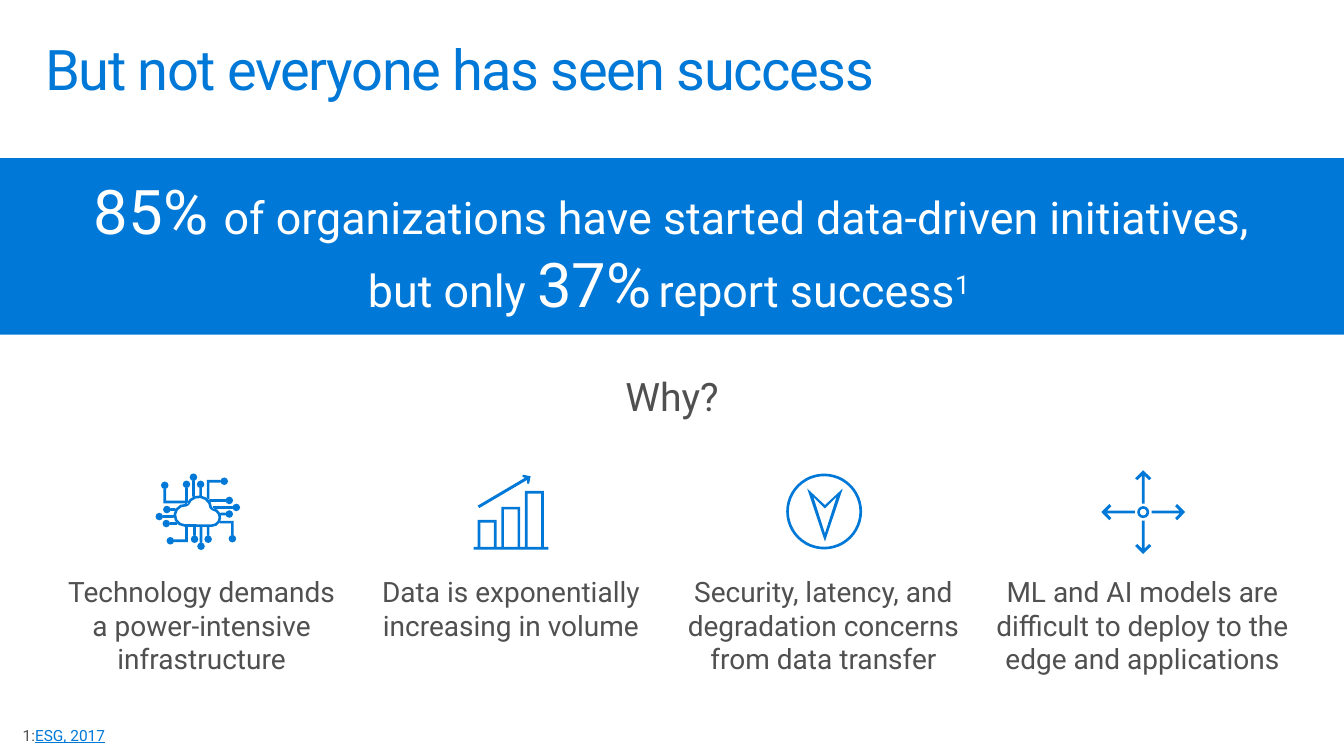
from math import cos, hypot, radians, sin

from pptx import Presentation
from pptx.dml.color import RGBColor
from pptx.enum.shapes import MSO_SHAPE
from pptx.enum.text import MSO_ANCHOR, PP_ALIGN
from pptx.util import Pt

BLUE, GRAY, WHITE = "0078D7", "505050", "FFFFFF"
STROKE = 1.9


def write(sp, runs, size, color, margins=(0, 0), align=PP_ALIGN.CENTER, anchor=MSO_ANCHOR.TOP):
    """Fill a shape with one paragraph of (text, size) runs; "\\n" is a line break."""
    tf = sp.text_frame
    tf.word_wrap = True
    tf.vertical_anchor = anchor
    tf.margin_left = tf.margin_right = Pt(margins[0])
    tf.margin_top = tf.margin_bottom = Pt(margins[1])
    p = tf.paragraphs[0]
    p.alignment = align
    p.font.name = "Roboto"
    p.font.size = Pt(size)
    p.font.color.rgb = RGBColor.from_string(color)
    for text, run_size in runs:
        if text == "\n":
            p.add_line_break()
            continue
        r = p.add_run()
        r.text = text
        if run_size != size:
            r.font.size = Pt(run_size)
    return p


def strip(line):
    """Outline of a polyline drawn STROKE wide, with mitred corners."""
    normals = []
    for (x1, y1), (x2, y2) in zip(line, line[1:]):
        length = hypot(x2 - x1, y2 - y1)
        normals.append(((y1 - y2) / length, (x2 - x1) / length))
    left, right = [], []
    for (x, y), (ax, ay), (bx, by) in zip(line, normals[:1] + normals, normals + normals[-1:]):
        k = STROKE / 2 / (1 + ax * bx + ay * by)
        left.append((x + k * (ax + bx), y + k * (ay + by)))
        right.append((x - k * (ax + bx), y - k * (ay + by)))
    return left + right[::-1]


prs = Presentation()
prs.slide_width, prs.slide_height = Pt(960), Pt(540)
s = prs.slides.add_slide(prs.slide_layouts[6])
shapes = s.shapes

# Title
title = shapes.add_textbox(Pt(21), Pt(23), Pt(918), Pt(70.6))
p = write(title, [("But not everyone has seen success", 40)], 40, BLUE, (11.5, 7.2), PP_ALIGN.LEFT)
p.line_spacing = 0.9
p.runs[0].font._element.set("spc", "-100")

# Headline band
band = shapes.add_shape(MSO_SHAPE.RECTANGLE, 0, Pt(113), Pt(960), Pt(126))
band.shadow.inherit = False
band.fill.solid()
band.fill.fore_color.rgb = RGBColor.from_string(BLUE)
band.line.fill.background()
headline = [("85% ", 44), ("of organizations have started data-driven initiatives,", 32), ("\n", 32),
            ("but only ", 32), ("37%", 44), (" ", 20), ("report success", 32), ("1 ", 32)]
p = write(band, headline, 32, WHITE, (28.8, 11.5), anchor=MSO_ANCHOR.MIDDLE)
p.runs[-1].font._element.set("baseline", "30000")

why = shapes.add_textbox(Pt(434), Pt(263), Pt(92), Pt(39.6))
write(why, [("Why?", 28)], 28, GRAY, (10.8, 7.2), anchor=MSO_ANCHOR.MIDDLE)

# Growth icon: bars on a baseline, and a trend arrow
bars = [strip([(338.4, 391.7), (391.7, 391.7)])]
for i, top in enumerate([372.4, 363, 351.6]):
    x = 342.2 + 16.9 * i
    bars.append(strip([(x, 390.75), (x, top), (x + 11.6, top), (x + 11.6, 390.75)]))
trend = [(341.2, 361.2), (375, 341.3), (373.2, 340.6), (373.4, 339.1), (379, 340.2),
         (378, 345.6), (376.6, 345.4), (376.6, 342.8), (342.4, 362.9)]

# Circuit icon: traces run from a round node to the cloud
traces = [
    [(160.2, 343.8), (148.7, 343.8), (148.7, 356.6)],
    [(143.3, 346), (143.3, 354)],
    [(138.2, 340.9), (138.2, 354.7)],
    [(133.2, 346), (133.2, 360)],
    [(117.7, 346.7), (117.7, 358.6), (132.3, 358.6)],
    [(119.2, 364), (125.1, 364)],
    [(113.8, 369), (124.1, 369)],
    [(118.8, 374), (126.5, 374)],
    [(121.7, 386.3), (133.2, 386.3), (133.2, 376.3)],
    [(139, 385.2), (139, 376.3)],
    [(143.6, 390.2), (143.6, 376.3)],
    [(148.7, 385.2), (148.7, 376.3)],
    [(166, 384.8), (166, 373), (157.1, 373)],
    [(163.8, 367.2), (157.6, 367.2)],
    [(168.8, 362.5), (152, 362.5)],
    [(163.8, 357.5), (149.5, 357.5)],
]
NODE = 2.7
circuit = []
for (x, y), (x2, y2), *rest in traces:
    circuit.append([(x + NODE * cos(radians(a)), y + NODE * sin(radians(a))) for a in range(0, 360, 45)])
    k = NODE / hypot(x2 - x, y2 - y)
    circuit.append(strip([(x + k * (x2 - x), y + k * (y2 - y)), (x2, y2), *rest]))
# Cloud lobes: centre, radius, first and last angle
lobes = [(132.2, 368.1, 7.3, 90, 278), (142.1, 363.4, 8.6, 200, 358), (151.2, 369.6, 5.9, 275, 450)]
for edge in (STROKE / 2, -STROKE / 2):
    circuit.append([(x + (radius + edge) * cos(radians(start + (end - start) * k / 6)),
                     y + (radius + edge) * sin(radians(start + (end - start) * k / 6)))
                    for x, y, radius, start, end in lobes for k in range(7)])

# Compass icon: needle with a hollow centre, inside a ring
needle = [[(576.6, 349), (589.3, 360.8), (602, 349), (589.3, 386.8)],
          [(581, 355), (589.3, 363.2), (597.6, 355), (589.3, 381)]]
compass_ring = (588.7, 365.4, 27.1)

# Spread icon: four arrows (along, across) turned around a hub
HUB_X, HUB_Y = 816.6, 365.8
half_arrow = [(6, 1), (26, 1), (22.8, 4.2), (24.2, 5.8), (29.9, 0)]
arrow = half_arrow + [(u, -v) for u, v in half_arrow[-2::-1]]
spread = [[[(HUB_X + u * dx - v * dy, HUB_Y + u * dy + v * dx) for u, v in arrow]]
          for dx, dy in [(0, -1), (0, 1), (1, 0), (-1, 0)]]

# Reasons: left, width, text, icon outlines, icon ring
reasons = [
    (259.9, 210.2, "Data is exponentially increasing in volume", [bars, [trend]], None),
    (41.8, 204.5, "Technology demands a power-intensive infrastructure", [circuit], None),
    (483.1, 210.2, "Security, latency, and degradation concerns from data transfer", [needle], compass_ring),
    (707, 218.2, "ML and AI models are difficult to deploy to the edge and applications",
     spread, (HUB_X, HUB_Y, 4.3)),
]
for left, width, reason, outlines, ring in reasons:
    group = s.shapes.add_group_shape().shapes
    write(group.add_textbox(Pt(left), Pt(410.4), Pt(width), Pt(72.7)), [(reason, 20)], 20, GRAY)
    parts = []
    for contours in outlines:
        scaled = [[(Pt(x), Pt(y)) for x, y in contour] for contour in contours]
        builder = group.build_freeform(*scaled[0][0])
        for contour in scaled:
            if contour is not scaled[0]:
                builder.move_to(*contour[0])
            builder.add_line_segments(contour[1:], close=True)
        parts.append(builder.convert_to_shape())
    if ring:
        x, y, radius = ring
        donut = group.add_shape(MSO_SHAPE.DONUT, Pt(x - radius), Pt(y - radius), Pt(2 * radius), Pt(2 * radius))
        donut.adjustments[0] = STROKE / (2 * radius)
        parts.append(donut)
    for part in parts:
        part.shadow.inherit = False
        part.fill.solid()
        part.fill.fore_color.rgb = RGBColor.from_string(BLUE)
        part.line.fill.background()

# Footnote
footnote = shapes.add_textbox(0, Pt(518.4), Pt(91.4), Pt(16))
p = write(footnote, [("1:", 11), ("ESG, 2017", 11)], 11, GRAY)
p.runs[1].font.color.rgb = RGBColor.from_string(BLUE)
p.runs[1].font.underline = True

prs.save("out.pptx")
